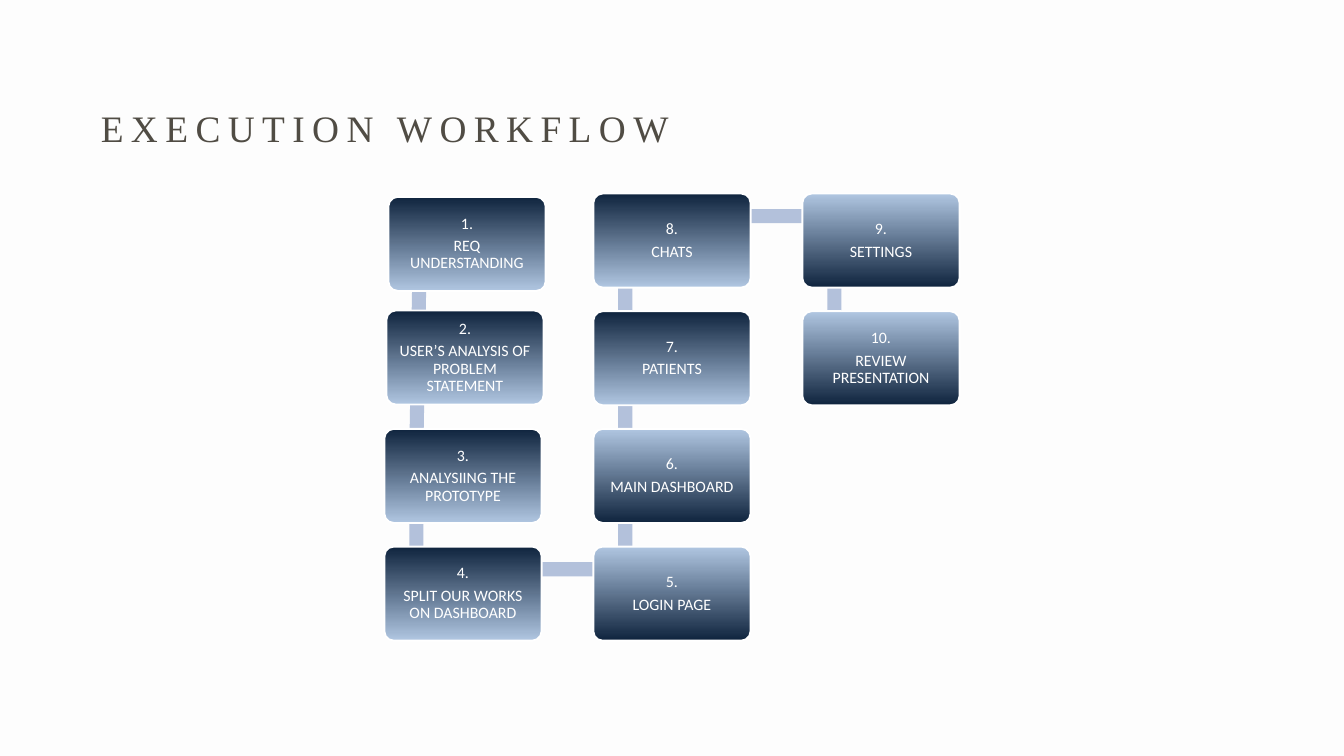
from dataclasses import dataclass
from math import atan2, degrees, hypot

from pptx import Presentation
from pptx.dml.color import RGBColor
from pptx.enum.shapes import MSO_SHAPE
from pptx.enum.text import MSO_ANCHOR, PP_ALIGN
from pptx.util import Pt

DARK, LIGHT, LINK, WHITE = "0F243E", "B0C6E1", "B3C1DB", "FFFFFF"
BOX_W, BOX_H = 168.48, 100.8
LEFT, TOP, COL_STEP, ROW_STEP = 411.84, 207.36, 223.92, 126.1
ANCHOR_X, ANCHOR_Y, LINK_H = 34.2, 24.3, 15.12


@dataclass
class Step:
    """One workflow step, with its grid cell and an offset from that cell."""

    label: str
    col: int
    row: int
    dark_top: bool = True
    dx: float = 0
    dy: float = 0

    @property
    def left(self) -> float:
        """Left edge in points."""
        return LEFT + self.col * COL_STEP + self.dx

    @property
    def top(self) -> float:
        """Top edge in points."""
        return TOP + self.row * ROW_STEP + self.dy


STEPS = [
    Step("REQ UNDERSTANDING", 0, 0, dx=4.32, dy=3.6),
    Step("USER’S ANALYSIS OF PROBLEM STATEMENT", 0, 1, dx=2.16, dy=-0.8),
    Step("ANALYSIING THE PROTOTYPE", 0, 2),
    Step("SPLIT OUR WORKS ON DASHBOARD", 0, 3),
    Step("LOGIN PAGE", 1, 3, dark_top=False),
    Step("MAIN DASHBOARD", 1, 2, dark_top=False),
    Step("PATIENTS", 1, 1),
    Step("CHATS", 1, 0),
    Step("SETTINGS", 2, 0, dark_top=False),
    Step("REVIEW PRESENTATION", 2, 1, dark_top=False),
]


def color(value: str) -> RGBColor:
    """Turn a hex string into a colour."""
    return RGBColor.from_string(value)


def add_run(p, text: str, size: float, font: str, fill: str):
    """Add one formatted run to a paragraph."""
    r = p.add_run()
    r.text = text
    r.font.size, r.font.name = Pt(size), font
    r.font.color.rgb = color(fill)
    return r


def add_title(s, text: str) -> None:
    """Add the letter-spaced slide title."""
    tf = s.shapes.add_textbox(Pt(108), Pt(105.12), Pt(648), Pt(54.72)).text_frame
    tf.word_wrap = True
    tf.margin_left = tf.margin_right = tf.margin_top = tf.margin_bottom = 0
    p = tf.paragraphs[0]
    p.line_spacing = Pt(56)
    r = add_run(p, text, 40, "Times New Roman", "504C44")
    r.font._element.set("spc", "800")


def add_link(s, start: Step, end: Step) -> None:
    """Add the bar that joins the anchor points of two steps."""
    dx, dy = end.left - start.left, end.top - start.top
    length = hypot(dx, dy)
    x = start.left + ANCHOR_X + (dx - length) / 2
    y = start.top + ANCHOR_Y + (dy - LINK_H) / 2
    sp = s.shapes.add_shape(MSO_SHAPE.RECTANGLE, Pt(x), Pt(y), Pt(length), Pt(LINK_H))
    sp.shadow.inherit = False
    sp.rotation = degrees(atan2(dy, dx))
    sp.fill.solid()
    sp.fill.fore_color.rgb = color(LINK)
    sp.line.fill.background()


def add_step(s, number: int, step: Step) -> None:
    """Add a numbered gradient box."""
    sp = s.shapes.add_shape(
        MSO_SHAPE.ROUNDED_RECTANGLE, Pt(step.left), Pt(step.top), Pt(BOX_W), Pt(BOX_H)
    )
    sp.adjustments[0] = 0.1
    sp.shadow.inherit = False
    sp.fill.gradient()
    sp.fill.gradient_angle = 270
    shades = (DARK, LIGHT) if step.dark_top else (LIGHT, DARK)
    for stop, shade in zip(sp.fill.gradient_stops, shades):
        stop.color.rgb = color(shade)
    sp.line.color.rgb = color(WHITE)
    sp.line.width = Pt(2)
    tf = sp.text_frame
    tf.word_wrap = True
    tf.vertical_anchor = MSO_ANCHOR.MIDDLE
    tf.margin_left = tf.margin_right = tf.margin_top = tf.margin_bottom = Pt(5)
    for p, text in ((tf.paragraphs[0], f"{number}."), (tf.add_paragraph(), step.label)):
        p.alignment = PP_ALIGN.CENTER
        p.line_spacing = 0.9
        p.space_after = Pt(6)
        add_run(p, text, 17, "Calibri", WHITE)


def main() -> None:
    """Build and save the workflow slide."""
    prs = Presentation()
    prs.slide_width, prs.slide_height = Pt(1440), Pt(810)
    s = prs.slides.add_slide(prs.slide_layouts[6])
    s.background.fill.solid()
    s.background.fill.fore_color.rgb = color("FDFDFD")
    add_title(s, "EXECUTION WORKFLOW")
    for start, end in zip(STEPS, STEPS[1:]):
        add_link(s, start, end)
    for number, step in enumerate(STEPS, 1):
        add_step(s, number, step)
    prs.save("out.pptx")


if __name__ == "__main__":
    main()
